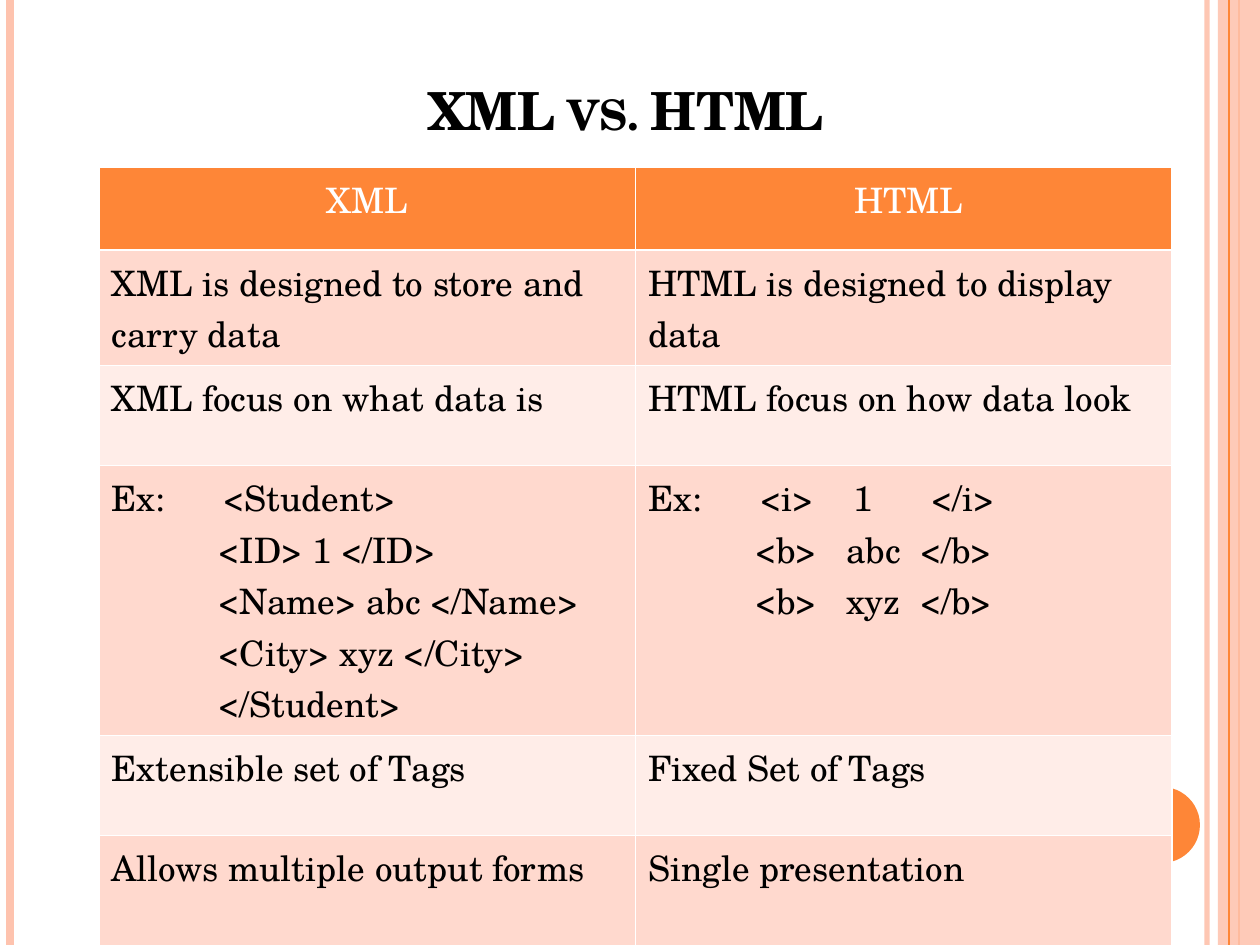
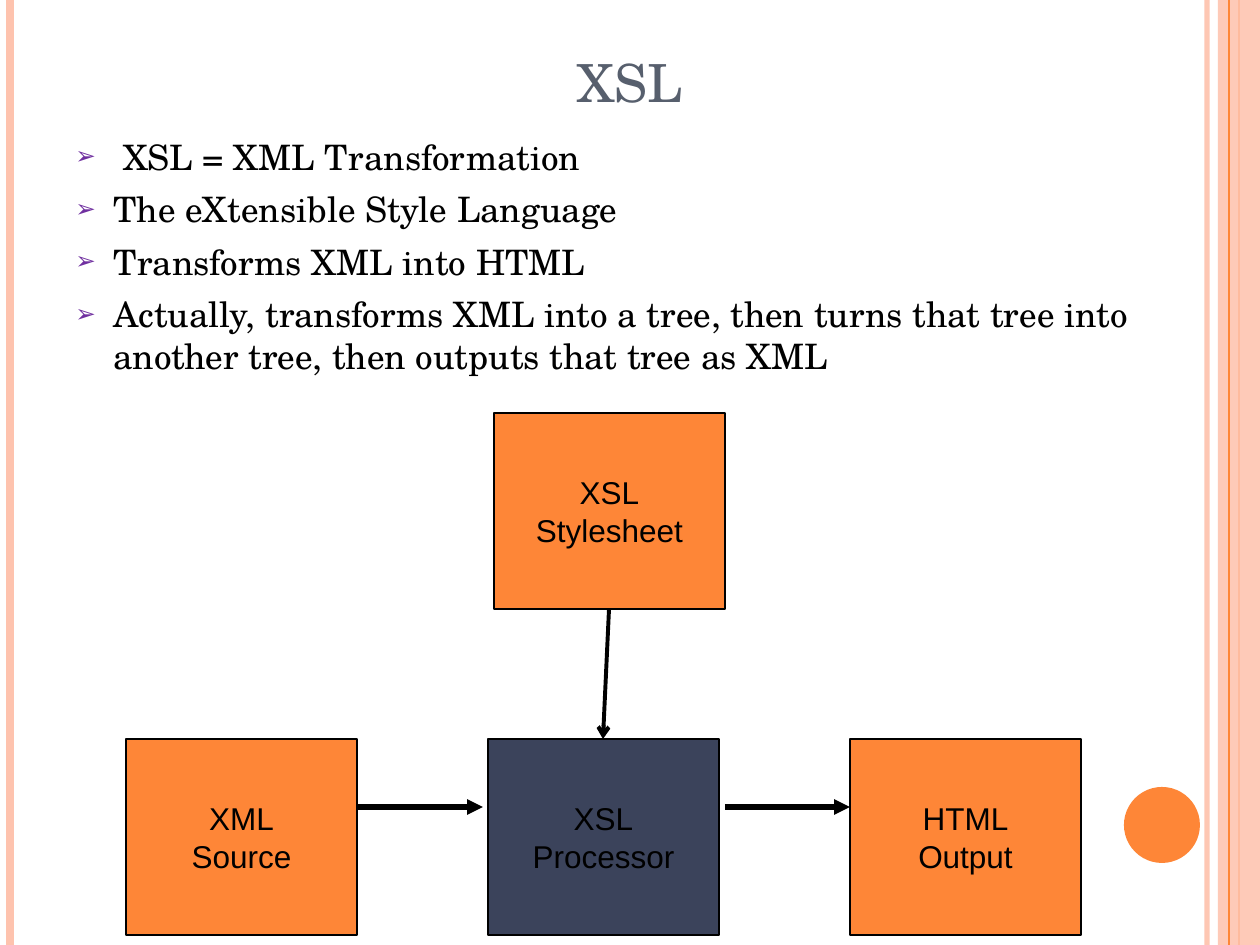
from lxml.etree import SubElement
from pptx import Presentation
from pptx.dml.color import RGBColor
from pptx.enum.shapes import MSO_CONNECTOR, MSO_SHAPE
from pptx.enum.text import MSO_ANCHOR, MSO_AUTO_SIZE, PP_ALIGN
from pptx.oxml.ns import qn
from pptx.util import Pt

EMU_PER_PX = 914400 / 126
SLIDE_W, SLIDE_H = 1260, 945
SERIF, SANS = "TeX Gyre Schola", "Arial"
COLORS = {
    "orange": "FE8637", "peach": "FEC3AE", "navy": "3B435B", "slate": "575F6D",
    "purple": "7030A0", "black": "000000", "white": "FFFFFF",
    "dark band": "FFD9CE", "light band": "FFEDE8",
}

RULES = [
    (1207, "peach", 3, 93),
    (10, "peach", 4.5, 100),
    (1239, "orange", 1.5, 100),
]
EDGE_BAND = (1218, 0, 42, SLIDE_H)
EDGE_RULE = (1229, "orange", 0.75, 100)
PAGE_DOT = (1124, 787, 76, 76)

COMPARISON_TITLE = {"text": "XML vs. HTML", "place": (59, 59, 1134, 88),
                    "color": "black", "bold": True}
COMPARISON_PLACE = (99, 167, 1073, 714)
COMPARISON = [
    (83, 12, "XML", " HTML"),
    (100, 12, "XML is designed to store and carry data", "HTML is designed to display data"),
    (100, 12, "XML focus on what data is", "HTML focus on how data look"),
    (188, 0,
     [("Ex:\t<Student>", (112,)),
      ("\t<ID> 1 </ID>", (107,)),
      ("\t<Name> abc </Name>", (107,)),
      ("\t<City> xyz </City>", (107,)),
      ("\t</Student>", (107,))],
     [("Ex:\t<i>\t1\t</i>", (112, 205, 283)),
      ("\t<b>\tabc\t</b>", (107, 198, 272)),
      ("\t<b>\txyz\t</b>", (107, 198, 272))]),
    (100, 0, "Extensible set of Tags", "Fixed Set of Tags"),
    (110, 0, "Allows multiple output forms", "Single presentation"),
]

XSL_TITLE = {"text": "XSL", "place": (63, 38, 1029, 81), "color": "slate", "bold": False}
XSL_PLACE = (63, 129, 1119, 816)
XSL_POINTS = [
    " XSL = XML Transformation",
    "The eXtensible Style Language",
    "Transforms XML into HTML",
    "Actually, transforms XML into a tree, then turns that tree into another tree, "
    "then outputs that tree as XML",
]
STAGE_SIZE = (231, 196)
STAGES = [
    (126, 739, "orange", ("XML", "Source")),
    (494, 413, "orange", ("XSL", "Stylesheet")),
    (850, 739, "orange", ("HTML", "Output")),
    (488, 739, "navy", ("XSL", "Processor")),
]
FLOWS = [
    ((357, 807), (483, 807), 3, "triangle"),
    ((725, 807), (850, 807), 3, "triangle"),
    ((609, 610), (603, 739), 2.25, "arrow"),
]


def px(*lengths):
    return [round(length * EMU_PER_PX) for length in lengths]


def rgb(color):
    return RGBColor.from_string(COLORS[color])


def apply(target, values):
    for name, value in values.items():
        setattr(target, name, value)


def set_alpha(fill_parent, percent):
    if percent < 100:
        color = next(fill_parent.iter(qn("a:srgbClr")))
        SubElement(color, qn("a:alpha"), val=str(percent * 1000))


def write(paragraph, text, color, size=20, font=SERIF, bold=False, **layout):
    apply(paragraph, layout)
    run = paragraph.add_run()
    run.text = text
    apply(run.font, {"name": font, "size": Pt(size), "bold": bold})
    run.font.color.rgb = rgb(color)
    return run


def paragraphs(frame, count):
    return [frame.paragraphs[0]] + [frame.add_paragraph() for _ in range(count - 1)]


def add_line(slide, start, end, color, width, alpha=100, head=None):
    line = slide.shapes.add_connector(MSO_CONNECTOR.STRAIGHT, *px(*start, *end))
    line.line.color.rgb = rgb(color)
    line.line.width = Pt(width)
    properties = line._element.spPr
    set_alpha(properties, alpha)
    if head:
        SubElement(line.line._get_or_add_ln(), qn("a:tailEnd"), type=head)
    SubElement(properties, qn("a:effectLst"))


def add_block(slide, preset, place, color, alpha=100, outline=None):
    block = slide.shapes.add_shape(preset, *px(*place))
    block.shadow.inherit = False
    block.fill.solid()
    block.fill.fore_color.rgb = rgb(color)
    set_alpha(block._element.spPr, alpha)
    if outline:
        block.line.color.rgb = rgb(outline)
        block.line.width = Pt(0.75)
    else:
        block.line.fill.background()
    return block


def add_rule(slide, x, color, width, alpha):
    add_line(slide, (x, 0), (x, SLIDE_H), color, width, alpha)


def start_slide(deck, heading):
    slide = deck.slides.add_slide(deck.slide_layouts[5])
    for rule in RULES:
        add_rule(slide, *rule)
    add_block(slide, MSO_SHAPE.RECTANGLE, EDGE_BAND, "peach", alpha=87)
    add_rule(slide, *EDGE_RULE)
    add_block(slide, MSO_SHAPE.OVAL, PAGE_DOT, "orange")

    title = slide.shapes.title
    apply(title, dict(zip(("left", "top", "width", "height"), px(*heading["place"]))))
    apply(title.text_frame, {
        "auto_size": MSO_AUTO_SIZE.NONE, "word_wrap": True,
        "vertical_anchor": MSO_ANCHOR.BOTTOM,
    })
    run = write(title.text_frame.paragraphs[0], heading["text"], heading["color"],
                size=30, bold=heading["bold"], alignment=PP_ALIGN.CENTER)
    run._r.get_or_add_rPr().set("cap", "small")
    return slide


def add_borders(cell):
    properties = cell._tc.get_or_add_tcPr()
    for side in "LRTB":
        border = SubElement(properties, qn(f"a:ln{side}"), w=str(Pt(1)))
        fill = SubElement(border, qn("a:solidFill"))
        SubElement(fill, qn("a:srgbClr"), val=COLORS["white"])


def add_tabs(paragraph, stops):
    if stops:
        tabs = SubElement(paragraph._p.get_or_add_pPr(), qn("a:tabLst"))
        for stop in px(*stops):
            SubElement(tabs, qn("a:tab"), pos=str(stop), algn="l")


def fill_cell(cell, content, is_header, band, gap):
    add_borders(cell)
    cell.fill.solid()
    cell.fill.fore_color.rgb = rgb(band)
    lines = [(content, ())] if isinstance(content, str) else content
    layout = {
        "alignment": PP_ALIGN.CENTER if is_header else PP_ALIGN.LEFT,
        "space_before": Pt(0 if is_header else gap),
        "space_after": Pt(gap),
    }
    for paragraph, (text, stops) in zip(paragraphs(cell.text_frame, len(lines)), lines):
        write(paragraph, text, "white" if is_header else "black", **layout)
        add_tabs(paragraph, stops)


def build_comparison(deck):
    slide = start_slide(deck, COMPARISON_TITLE)
    comparison = slide.shapes.add_table(len(COMPARISON), 2, *px(*COMPARISON_PLACE)).table
    apply(comparison, {"first_row": True, "horz_banding": False})
    for index, (height, gap, *contents) in enumerate(COMPARISON):
        comparison.rows[index].height = px(height)[0]
        band = "orange" if index == 0 else ("light band", "dark band")[index % 2]
        for column, content in enumerate(contents):
            fill_cell(comparison.cell(index, column), content, index == 0, band, gap)


def add_bullet(paragraph):
    properties = paragraph._p.get_or_add_pPr()
    indent = px(38)[0]
    properties.set("marL", str(indent))
    properties.set("indent", str(-indent))
    color = SubElement(properties, qn("a:buClr"))
    SubElement(color, qn("a:srgbClr"), val=COLORS["purple"])
    SubElement(properties, qn("a:buSzPct"), val="70000")
    SubElement(properties, qn("a:buFont"), typeface=SANS)
    SubElement(properties, qn("a:buChar"), char="➢")


def build_xsl(deck):
    slide = start_slide(deck, XSL_TITLE)
    points = slide.shapes.add_textbox(*px(*XSL_PLACE)).text_frame
    points.word_wrap = True
    for paragraph, text in zip(paragraphs(points, len(XSL_POINTS)), XSL_POINTS):
        write(paragraph, text, "black", space_before=Pt(6))
        add_bullet(paragraph)

    for x, y, color, words in STAGES:
        stage = add_block(slide, MSO_SHAPE.RECTANGLE, (x, y, *STAGE_SIZE), color,
                          outline="black").text_frame
        apply(stage, {"word_wrap": False, "vertical_anchor": MSO_ANCHOR.MIDDLE})
        for paragraph, word in zip(paragraphs(stage, len(words)), words):
            write(paragraph, word, "black", size=18, font=SANS, alignment=PP_ALIGN.CENTER)
    for start, end, width, head in FLOWS:
        add_line(slide, start, end, "black", width, head=head)


def main():
    deck = Presentation()
    deck.slide_width, deck.slide_height = px(SLIDE_W, SLIDE_H)
    build_comparison(deck)
    build_xsl(deck)
    deck.save("out.pptx")


if __name__ == "__main__":
    main()
